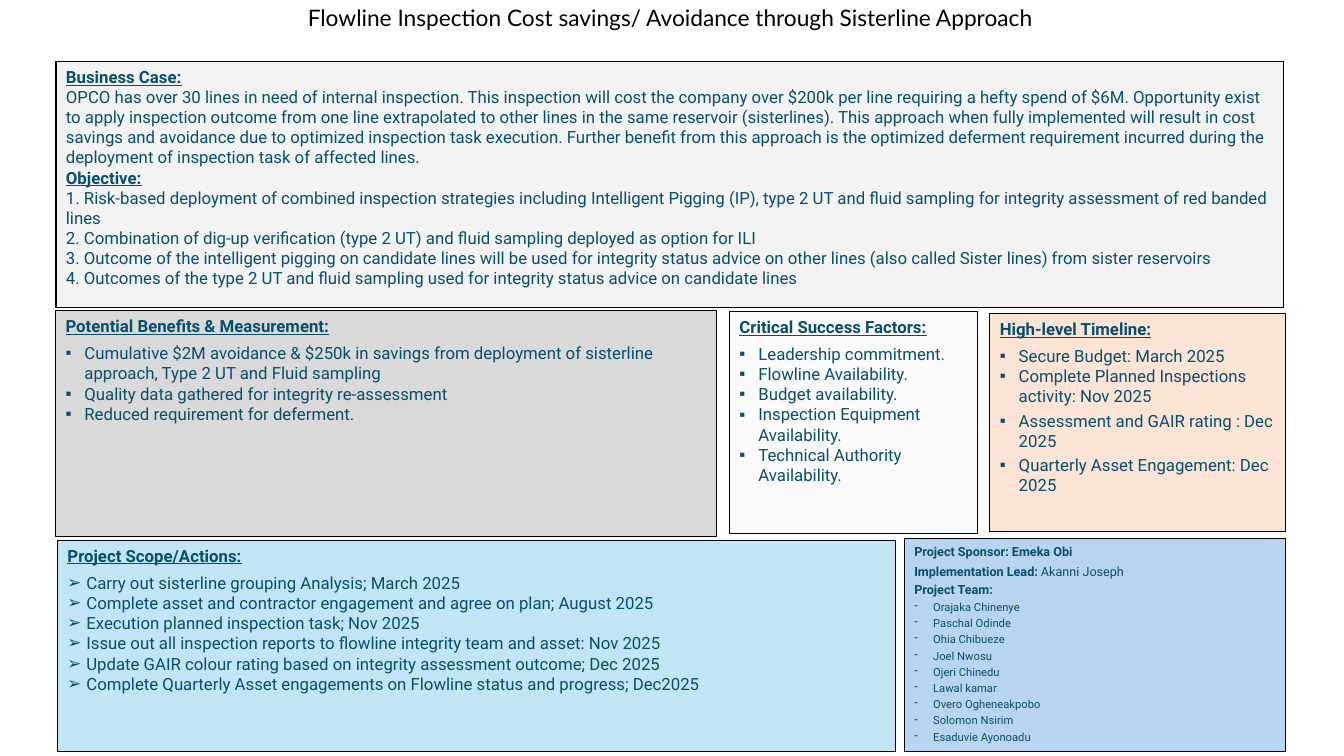
from lxml.etree import SubElement
from pptx import Presentation
from pptx.dml.color import RGBColor
from pptx.enum.shapes import MSO_SHAPE
from pptx.enum.text import MSO_ANCHOR, MSO_AUTO_SIZE, PP_ALIGN
from pptx.oxml.ns import qn
from pptx.util import Pt

COLORS = {
    "title": "000000", "text": "084F6A", "outline": "000000",
    "business": "F2F2F2", "benefits": "D9D9D9", "factors": "FAFAFA",
    "timeline": "FBE3D6", "scope": "C1E5F5", "team": "B8D4F0",
}
TITLE = "Flowline Inspection Cost savings/ Avoidance through Sisterline Approach"
BUSINESS_CASE = (
    "OPCO has over 30 lines in need of internal inspection. This inspection will cost the company "
    "over $200k per line requiring a hefty spend of $6M. Opportunity exist to apply inspection outcome "
    "from one line extrapolated to other lines in the same reservoir (sisterlines). This approach when "
    "fully implemented will result in cost savings and avoidance due to optimized inspection task "
    "execution. Further benefit from this approach is the optimized deferment requirement incurred "
    "during the deployment of inspection task of affected lines."
)
OBJECTIVES = [
    "1. Risk-based deployment of combined inspection strategies including Intelligent Pigging (IP), "
    "type 2 UT and fluid sampling for integrity assessment of red banded lines",
    "2. Combination of dig-up verification (type 2 UT) and fluid sampling deployed as option for ILI",
    "3. Outcome of the intelligent pigging on candidate lines will be used for integrity status advice "
    "on other lines (also called Sister lines) from sister reservoirs",
    "4. Outcomes of the type 2 UT and fluid sampling used for integrity status advice on candidate lines",
]
LIST_PANELS = [
    ("benefits", (39.6, 222, 472, 161), "Potential Benefits & Measurement:", "▪", [
        "Cumulative $2M avoidance & $250k in savings from deployment of sisterline approach, "
        "Type 2 UT and Fluid sampling",
        "Quality data gathered for integrity re-assessment",
        "Reduced requirement for deferment.",
    ], {}),
    ("factors", (521, 222.5, 177, 158.5), "Critical Success Factors:", "▪", [
        "Leadership commitment.",
        "Flowline Availability.",
        "Budget availability.",
        "Inspection Equipment Availability.",
        "Technical Authority Availability.",
    ], {}),
    ("timeline", (707, 224, 211, 156), "High-level Timeline:", "▪", [
        "Secure Budget: March 2025",
        "Complete Planned Inspections activity: Nov 2025",
        "Assessment and GAIR rating : Dec 2025",
        "Quarterly Asset Engagement: Dec 2025",
    ], {2: 3, 3: 3}),
    ("scope", (41, 386, 599, 151), "Project Scope/Actions:", "➢", [
        "Carry out sisterline grouping Analysis; March 2025",
        "Complete asset and contractor engagement and agree on plan; August 2025",
        "Execution planned inspection task; Nov 2025",
        "Issue out all inspection reports to flowline integrity team and asset: Nov 2025",
        "Update GAIR colour rating based on integrity assessment outcome; Dec 2025",
        "Complete Quarterly Asset engagements on Flowline status and progress; Dec2025",
    ], {}),
]
TEAM = [
    "Orajaka Chinenye", "Paschal Odinde", "Ohia Chibueze", "Joel Nwosu", "Ojeri Chinedu",
    "Lawal kamar", "Overo Ogheneakpobo", "Solomon Nsirim", "Esaduvie Ayonoadu",
]


def rgb(name):
    """Return the named palette colour."""
    return RGBColor.from_string(COLORS[name])


def add_run(paragraph, text, size=12, bold=False, underline=False, font="Roboto", color="text"):
    """Append one formatted run."""
    run = paragraph.add_run()
    run.text = text
    run.font.size = Pt(size)
    run.font.name = font
    run.font.bold = bold
    run.font.underline = underline
    run.font.color.rgb = rgb(color)


def add_paragraph(frame, bullet=None, before=0, after=0):
    """Return the next paragraph of a frame, with or without a bullet."""
    first = frame.paragraphs[0]
    paragraph = frame.add_paragraph() if first.runs else first
    properties = paragraph._p.get_or_add_pPr()
    indent = Pt(13.5) if bullet else 0
    properties.set("marL", str(indent))
    properties.set("indent", str(-indent))
    if bullet:
        SubElement(properties, qn("a:buChar")).set("char", bullet)
    else:
        SubElement(properties, qn("a:buNone"))
    paragraph.alignment = PP_ALIGN.LEFT
    paragraph.space_before = Pt(before)
    paragraph.space_after = Pt(after)
    return paragraph


def place(shape, box):
    """Move a shape to a box given in points."""
    shape.left, shape.top, shape.width, shape.height = map(Pt, box)


def style_panel(shape, box, fill):
    """Place and colour a panel and return its text frame."""
    place(shape, box)
    shape.shadow.inherit = False
    shape.fill.solid()
    shape.fill.fore_color.rgb = rgb(fill)
    shape.line.color.rgb = rgb("outline")
    shape.line.width = Pt(0.75)
    frame = shape.text_frame
    frame.word_wrap = True
    frame.auto_size = MSO_AUTO_SIZE.NONE
    frame.vertical_anchor = MSO_ANCHOR.TOP
    return frame


def add_panel(slide, box, fill):
    """Add a rectangular panel and return its text frame."""
    shape = slide.shapes.add_shape(MSO_SHAPE.RECTANGLE, *map(Pt, box))
    return style_panel(shape, box, fill)


def fill_title(title, box):
    """Write the slide title."""
    place(title, box)
    frame = title.text_frame
    frame.auto_size = MSO_AUTO_SIZE.NONE
    frame.vertical_anchor = MSO_ANCHOR.TOP
    frame.margin_top = 0
    paragraph = frame.paragraphs[0]
    paragraph.alignment = PP_ALIGN.CENTER
    paragraph.line_spacing = 0.9
    add_run(paragraph, TITLE, 16.2, font="Lato", color="title")


def add_business_case(slide, box):
    """Add the business case and objectives panel."""
    frame = add_panel(slide, box, "business")
    for heading, lines in (("Business Case:", [BUSINESS_CASE]), ("Objective:", OBJECTIVES)):
        add_run(add_paragraph(frame), heading, bold=True, underline=True)
        for line in lines:
            add_run(add_paragraph(frame), line)


def fill_list_panel(placeholder, fill, box, heading, bullet, items, gaps):
    """Write a heading and its bulleted list into a body placeholder."""
    frame = style_panel(placeholder, box, fill)
    add_run(add_paragraph(frame, after=5), heading, bold=True, underline=True)
    for index, item in enumerate(items):
        add_run(add_paragraph(frame, bullet, gaps.get(index, 0)), item)


def add_team(slide, box):
    """Add the sponsor, lead and team panel."""
    frame = add_panel(slide, box, "team")
    add_run(add_paragraph(frame), "Project Sponsor: Emeka Obi", 9, bold=True)
    lead = add_paragraph(frame, before=2)
    lead.line_spacing = 1.15
    add_run(lead, "Implementation Lead: ", 9, bold=True)
    add_run(lead, "Akanni Joseph", 9)
    add_run(add_paragraph(frame, before=2), "Project Team:", 9, bold=True)
    for member in TEAM:
        add_run(add_paragraph(frame, "-", 2), member, 8)


def main():
    """Build and save the presentation."""
    presentation = Presentation()
    presentation.slide_width = Pt(960)
    presentation.slide_height = Pt(540)
    slide = presentation.slides.add_slide(presentation.slide_layouts.get_by_name("Comparison"))
    fill_title(slide.shapes.title, (40, 5, 877, 36))
    add_business_case(slide, (40, 44, 877, 176))
    bodies = list(slide.placeholders)[1:]
    for body, panel in zip(bodies, LIST_PANELS):
        fill_list_panel(body, *panel)
    add_team(slide, (646, 385, 272, 152))
    presentation.save("out.pptx")


if __name__ == "__main__":
    main()
